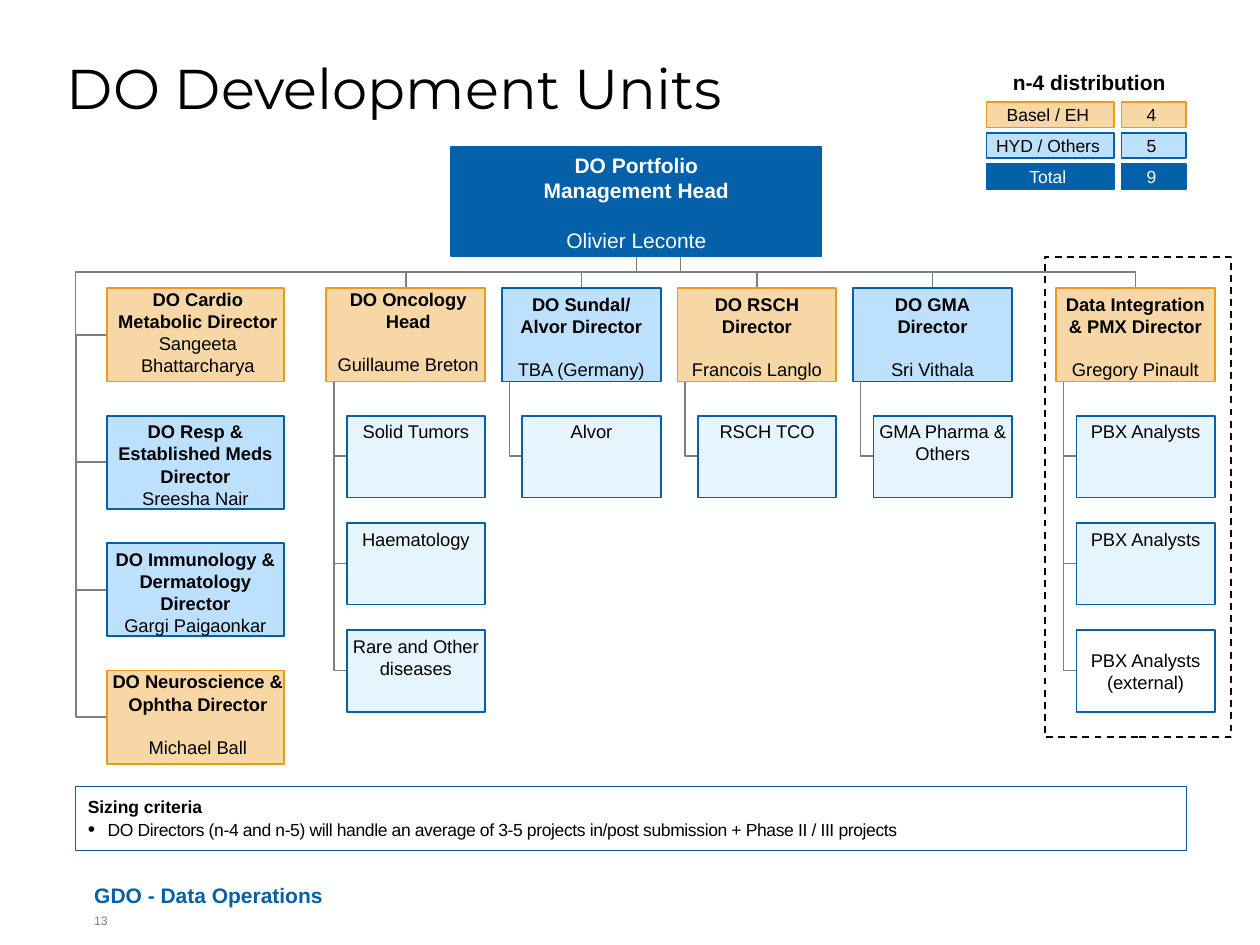
from dataclasses import dataclass
from lxml.etree import SubElement
from pptx import Presentation
from pptx.dml.color import RGBColor
from pptx.enum.dml import MSO_LINE
from pptx.enum.shapes import MSO_CONNECTOR, MSO_SHAPE
from pptx.enum.text import MSO_ANCHOR, PP_ALIGN
from pptx.oxml.ns import qn
from pptx.util import Cm, Pt


@dataclass(frozen=True)
class Theme:
    """Colours, fonts and type sizes of the slide."""
    navy: str = "0460A9"
    sky: str = "BDE1FD"
    ice: str = "E6F4FE"
    sand: str = "F7D7A5"
    gold: str = "EC9A1E"
    white: str = "FFFFFF"
    black: str = "000000"
    grey: str = "7F7F7F"
    face: str = "Arial"
    display: str = "Montserrat"
    title: float = 32
    large: float = 12
    normal: float = 10.5
    small: float = 10
    tiny: float = 7

    def tone(self, name):
        """Return the fill, line and text colours of a kind of box."""
        return {"head": (self.navy, self.navy, self.white),
                "gold": (self.sand, self.gold, self.black),
                "blue": (self.sky, self.navy, self.black),
                "team": (self.ice, self.navy, self.black),
                "plain": (self.white, self.navy, self.black)}[name]


class Chart:
    """Draws the parts of an org chart on one slide."""

    def __init__(self, deck, theme):
        """Add a slide with a title and a body."""
        self.theme = theme
        self.slide = deck.slides.add_slide(deck.slide_layouts[1])
        self.shapes = self.slide.shapes

    def apply(self, item, form):
        """Set each format value on the item."""
        for key, value in form.items():
            setattr(item, key, value)

    def place(self, shape, at):
        """Move a shape to left, top, width, height in centimetres."""
        self.apply(shape, dict(zip(("left", "top", "width", "height"), map(Cm, at))))

    def paint(self, shape, fill, edge, width=1):
        """Give a shape its fill and line."""
        if fill:
            shape.fill.solid()
            shape.fill.fore_color.rgb = RGBColor.from_string(fill)
        else:
            shape.fill.background()
        shape.line.color.rgb = RGBColor.from_string(edge)
        shape.line.width = Pt(width)

    def letter(self, shape, lines, size, ink, pad=(0, 0, 0, 0), face=None,
               align=PP_ALIGN.LEFT, anchor=MSO_ANCHOR.TOP):
        """Fill a shape with (text, bold, space before) lines."""
        sides = ("margin_left", "margin_top", "margin_right", "margin_bottom")
        frame = shape.text_frame
        self.apply(frame, {"word_wrap": True, "vertical_anchor": anchor,
                           **dict(zip(sides, map(Cm, pad)))})
        for i, (text, bold, gap) in enumerate(lines):
            para = frame.paragraphs[0] if i == 0 else frame.add_paragraph()
            self.apply(para, {"alignment": align, "space_before": Pt(gap)})
            run = para.add_run()
            run.text = text
            self.apply(run.font, {"name": face or self.theme.face,
                                  "size": Pt(size), "bold": bold})
            run.font.color.rgb = RGBColor.from_string(ink)
        return frame

    def title(self, text, at):
        """Set the slide title."""
        shape = self.shapes.title
        self.place(shape, at)
        frame = self.letter(shape, [(text, False, 0)], self.theme.title,
                            self.theme.black, face=self.theme.display)
        frame.paragraphs[0].line_spacing = 0.95

    def note(self, head, points, at):
        """Set the body as a framed heading with bullets."""
        shape = self.slide.placeholders[1]
        self.place(shape, at)
        self.paint(shape, self.theme.white, self.theme.navy, 0.5)
        lines = [(head, True, 1)] + [(text, False, 1) for text in points]
        frame = self.letter(shape, lines, self.theme.small, self.theme.black,
                            (0.25, 0.2, 0.25, 0.2))
        for i, para in enumerate(frame.paragraphs):
            props = para._p.get_or_add_pPr()
            dent = Cm(0.4) if i else 0
            props.set("marL", str(dent))
            props.set("indent", str(-dent))
            if i:
                SubElement(props, qn("a:buSzPct")).set("val", "120000")
                SubElement(props, qn("a:buChar")).set("char", "•")
                para.runs[0]._r.get_or_add_rPr().set("spc", "-20")
            else:
                SubElement(props, qn("a:buNone"))

    def label(self, text, at, size, ink, bold=False, **form):
        """Add free text."""
        shape = self.shapes.add_textbox(*map(Cm, at))
        self.letter(shape, [(text, bold, 0)], size, ink, **form)

    def box(self, lines, at, tone, size=None, pad=(0.1, 0.1, 0.1, 0.1),
            anchor=MSO_ANCHOR.TOP):
        """Add a filled box with centred text."""
        shape = self.shapes.add_shape(MSO_SHAPE.RECTANGLE, *map(Cm, at))
        shape.shadow.inherit = False
        fill, edge, ink = self.theme.tone(tone)
        self.paint(shape, fill, edge)
        self.letter(shape, lines, size or self.theme.normal, ink, pad,
                    align=PP_ALIGN.CENTER, anchor=anchor)

    def frame(self, at):
        """Add a dashed outline."""
        shape = self.shapes.add_shape(MSO_SHAPE.RECTANGLE, *map(Cm, at))
        shape.shadow.inherit = False
        self.paint(shape, None, self.theme.black)
        shape.line.dash_style = MSO_LINE.DASH

    def bend(self, start, end, kind=3, bends=(), turn=True):
        """Add an elbow line, which sets off downwards when turned."""
        (x1, y1), (x2, y2) = start, end
        right = x2 > x1
        if turn:
            midx, midy = (x1 + x2) / 2, (y1 + y2) / 2
            half, rise = (y2 - y1) / 2, abs(x2 - x1) / 2
            half = -half if right else half
            x1, x2, y1, y2 = midx - half, midx + half, midy - rise, midy + rise
        line = self.shapes.add_connector(MSO_CONNECTOR.ELBOW, *map(Cm, (x1, y1, x2, y2)))
        line.line.color.rgb = RGBColor.from_string(self.theme.grey)
        line.line.width = Pt(1)
        props = line._element.spPr
        if turn:
            props.find(qn("a:xfrm")).set("rot", str((270 if right else 90) * 60000))
        shape = props.find(qn("a:prstGeom"))
        shape.set("prst", f"bentConnector{kind}")
        for i, bend in enumerate(bends, 1):
            guide = SubElement(shape.find(qn("a:avLst")), qn("a:gd"))
            guide.set("name", f"adj{i}")
            guide.set("fmla", f"val {round(bend * 100000)}")
        SubElement(props, qn("a:effectLst"))


TIGHT = (0.1, 0, 0, 0.2)
EVEN = (0.1, 0.1, 0.1, 0.1)
CHIEFS = [("gold", TIGHT, "DO Cardio Metabolic Director", "Sangeeta Bhattarcharya", 0),
          ("blue", EVEN, "DO Resp & Established Meds Director", "Sreesha Nair", 0),
          ("blue", EVEN, "DO Immunology & Dermatology Director", "Gargi Paigaonkar", 0),
          ("gold", TIGHT, "DO Neuroscience & Ophtha Director", "Michael Ball", 12)]
UNITS = [(6.58, "gold", TIGHT, ["DO Oncology Head"], "Guillaume Breton",
          ["Solid Tumors", "Haematology", "Rare and Other diseases"]),
         (10.12, "blue", EVEN, ["DO Sundal/ Alvor Director"], "TBA (Germany)", ["Alvor"]),
         (13.66, "gold", EVEN, ["DO RSCH", "Director"], "Francois Langlo", ["RSCH TCO"]),
         (17.2, "blue", EVEN, ["DO GMA", "Director"], "Sri Vithala", ["GMA Pharma & Others"]),
         (21.29, "gold", EVEN, ["Data Integration & PMX Director"], "Gregory Pinault",
          ["PBX Analysts", "PBX Analysts", "PBX Analysts (external)"])]
COUNTS = [("gold", "Basel / EH", "4"), ("blue", "HYD / Others", "5"), ("head", "Total", "9")]


def main():
    """Build the slide and save it."""
    deck = Presentation()
    deck.slide_width, deck.slide_height = Cm(25.4), Cm(19.05)
    theme = Theme()
    chart = Chart(deck, theme)
    chart.title("DO Development Units", (1.35, 1.17, 21.59, 2.67))
    chart.note("Sizing criteria",
               ["DO Directors (n-4 and n-5) will handle an average of 3-5 projects "
                "in/post submission + Phase II / III projects"], (1.52, 15.85, 22.4, 1.3))

    base, top, high, edge, step = 5.17, 5.81, 1.88, 2.16, 2.57
    mids = [top + high / 2 + step * i for i in range(len(CHIEFS))]
    chart.bend((12.83, base), (edge, mids[0]), 4, (0.2, 1.06))
    for upper, lower in zip(mids, mids[1:]):
        chart.bend((edge + 0.02, upper), (edge, lower), 3, (32,), turn=False)
    for i, (tone, pad, role, name, gap) in enumerate(CHIEFS):
        chart.box([(role, True, 0), (name, False, gap)],
                  (edge, top + step * i, 3.56, high), tone, pad=pad)

    wide, dent = 3.2, 0.41
    for left, tone, pad, role, name, teams in UNITS:
        trunk = 12.83 if left == UNITS[-1][0] else 13.72
        chart.bend((trunk, base), (left + wide / 2, top), 3, (0.5,))
        for i, team in enumerate(teams):
            row = 8.38 + 2.16 * i
            chart.bend((left + 0.15, top + high), (left + dent, row + 0.82), 2)
            guest = "external" in team
            chart.box([(team, False, 0)], (left + dent, row, wide - dent, 1.65),
                      "plain" if guest else "team",
                      anchor=MSO_ANCHOR.MIDDLE if guest else MSO_ANCHOR.TOP)
        chart.box([(text, True, 0) for text in role] + [(name, False, 12)],
                  (left, top, wide, high), tone, pad=pad)
    chart.box([("DO Portfolio", True, 0), ("Management Head", True, 0),
               ("Olivier Leconte", False, 14)], (9.1, 2.97, 7.46, 2.2), "head",
              theme.large, (0.1, 0.1, 0.1, 0.4))
    chart.frame((21.06, 5.18, 3.76, 9.68))

    chart.label("n-4 distribution", (20.17, 1.27, 3.91, 0.76), theme.large, theme.black,
                True, pad=(0.25, 0.13, 0.25, 0.13))
    for i, (tone, *cells) in enumerate(COUNTS):
        for text, left, width in zip(cells, (19.89, 22.61), (2.57, 1.3)):
            chart.box([(text, False, 0)], (left, 2.06 + 0.62 * i, width, 0.51), tone,
                      theme.small, (0, 0, 0.1, 0), MSO_ANCHOR.MIDDLE)
    chart.label("GDO - Data Operations", (1.9, 17.65, 16.51, 0.64), theme.large,
                theme.navy, True, anchor=MSO_ANCHOR.BOTTOM)
    chart.label("13", (1.9, 18.42, 0.64, 0.64), theme.tiny, theme.grey)
    deck.save("out.pptx")


if __name__ == "__main__":
    main()
